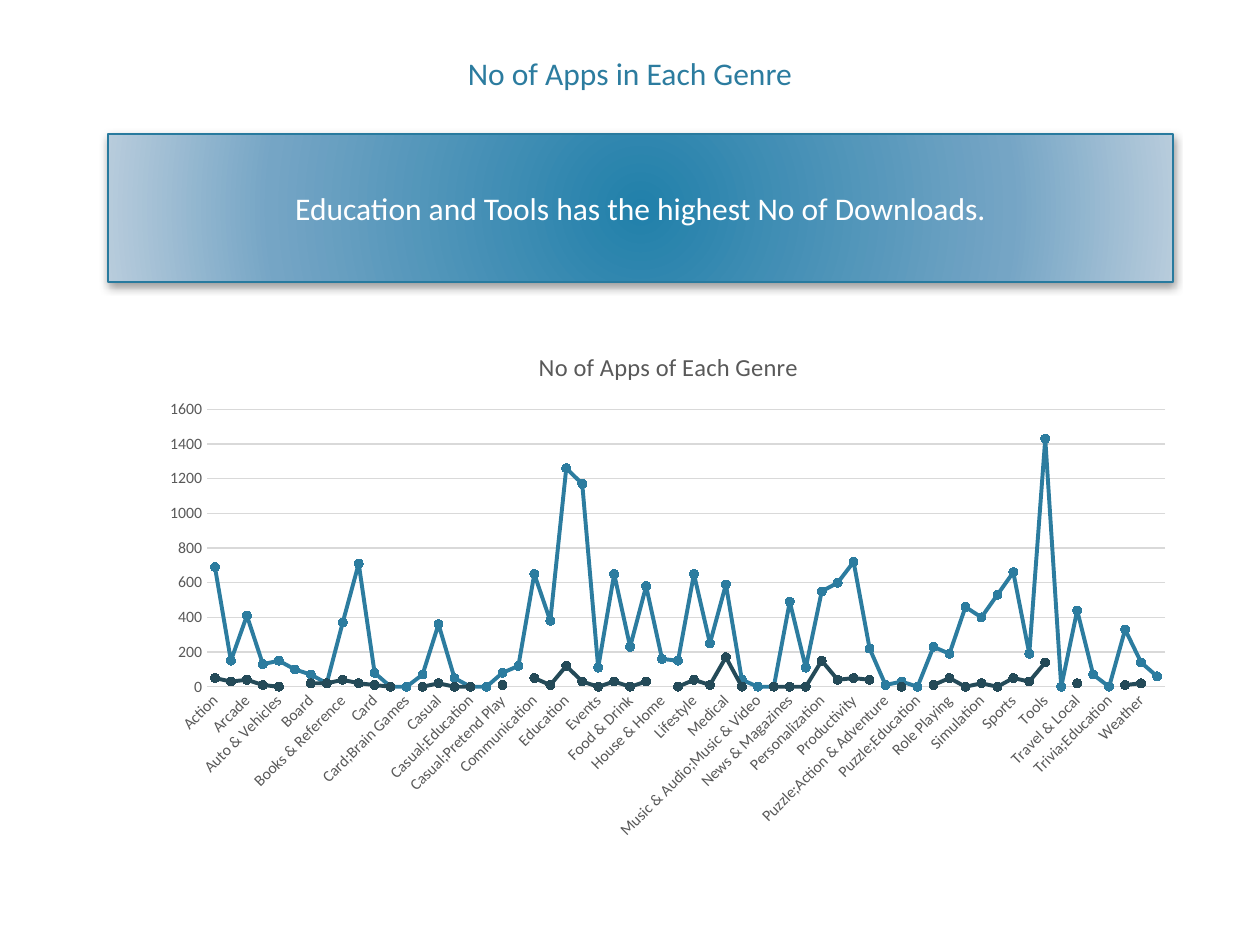
from lxml import etree
from pptx import Presentation
from pptx import util as u
from pptx.chart.data import CategoryChartData
from pptx.dml.color import RGBColor
from pptx.enum import chart as charts, shapes, text
from pptx.oxml import parse_xml
from pptx.oxml.ns import nsdecls, qn

FONT = "Calibri"
TITLE_BLUE = RGBColor(0x2C, 0x7C, 0x9F)
DARK_TEAL = RGBColor(0x24, 0x4A, 0x58)
OUTLINE_BLUE = RGBColor(0x28, 0x7A, 0x9E)
LABEL_GREY = RGBColor(0x59, 0x59, 0x59)
GRID_GREY = RGBColor(0xD9, 0xD9, 0xD9)
WHITE = RGBColor(0xFF, 0xFF, 0xFF)
GRADIENT = [(0, "2180AA"), (69, "75A5C5"), (100, "B8CCDC")]

SLIDE_WIDTH, SLIDE_HEIGHT = u.Inches(10), u.Inches(7.5)

GENRES = [
    "Action", "Adventure", "Arcade", "Art & Design", "Auto & Vehicles", "Beauty",
    "Board", "Board;Brain Games", "Books & Reference", "Business", "Card",
    "Card;Action & Adventure", "Card;Brain Games", "Casino", "Casual",
    "Casual;Action & Adventure", "Casual;Education", "Casual;Music & Video",
    "Casual;Pretend Play", "Comics", "Communication", "Dating", "Education",
    "Entertainment", "Events", "Finance", "Food & Drink", "Health & Fitness",
    "House & Home", "Libraries & Demo", "Lifestyle", "Maps & Navigation", "Medical",
    "Music", "Music & Audio;Music & Video", "Music;Music & Video",
    "News & Magazines", "Parenting", "Personalization", "Photography",
    "Productivity", "Puzzle", "Puzzle;Action & Adventure", "Puzzle;Brain Games",
    "Puzzle;Education", "Racing", "Role Playing", "Shopping", "Simulation", "Social",
    "Sports", "Strategy", "Tools", "Tools;Education", "Travel & Local", "Trivia",
    "Trivia;Education", "Video Players & Editors", "Weather", "Word",
]
SERIES = [
    ("Series 1", TITLE_BLUE, [
        690, 150, 410, 130, 150, 100, 70, 20, 370, 710, 80, 0, 0, 70, 360,
        50, 0, 0, 80, 120, 650, 380, 1260, 1170, 110, 650, 230, 580, 160, 150,
        650, 250, 590, 40, 0, 0, 490, 110, 550, 600, 720, 220, 10, 30, 0,
        230, 190, 460, 400, 530, 660, 190, 1430, 0, 440, 70, 0, 330, 140, 60]),
    ("Series 2", DARK_TEAL, [
        50, 30, 40, 10, 0, None, 20, 20, 40, 20, 10, 0, None, 0, 20,
        0, 0, None, 10, None, 50, 10, 120, 30, 0, 30, 0, 30, None, 0,
        40, 10, 170, 0, None, 0, 0, 0, 150, 40, 50, 40, None, 0, None,
        10, 50, 0, 20, 0, 50, 30, 140, None, 20, None, None, 10, 20, None]),
]


def box(left, top, width, height):
    """Turn shares of the slide's size into a left, top, width, height box."""
    return (int(SLIDE_WIDTH * left), int(SLIDE_HEIGHT * top),
            int(SLIDE_WIDTH * width), int(SLIDE_HEIGHT * height))


def style_font(font, size, color):
    """Set face, size and colour of a font."""
    font.name, font.size, font.bold = FONT, u.Pt(size), False
    font.color.rgb = color


def write_text(shape, content, color, anchor):
    """Write one centred paragraph into a shape."""
    frame = shape.text_frame
    frame.text = content
    frame.word_wrap = True
    frame.auto_size = text.MSO_AUTO_SIZE.NONE
    frame.vertical_anchor = anchor
    paragraph = frame.paragraphs[0]
    paragraph.alignment = text.PP_ALIGN.CENTER
    style_font(paragraph.font, 18, color)


def add_title(slide, content):
    """Place and fill the title placeholder."""
    title = slide.shapes.title
    title.left, title.top, title.width, title.height = box(0.06, 0.05, 0.88, 0.09)
    write_text(title, content, TITLE_BLUE, text.MSO_ANCHOR.TOP)


def add_banner(slide, content):
    """Add the message banner with a radial gradient and a soft shadow."""
    banner = slide.shapes.add_shape(
        shapes.MSO_SHAPE.RECTANGLE, *box(0.086, 0.1415, 0.845, 0.157))
    banner.line.color.rgb = OUTLINE_BLUE
    banner.line.width = u.Pt(1)
    stops = "".join(
        f'<a:gs pos="{position * 1000}"><a:srgbClr val="{color}"/></a:gs>'
        for position, color in GRADIENT)
    properties = banner.element.spPr
    properties.find(qn("a:prstGeom")).addnext(parse_xml(
        f'<a:gradFill {nsdecls("a")} rotWithShape="1"><a:gsLst>{stops}</a:gsLst>'
        '<a:path path="circle"><a:fillToRect l="100000" t="100000" r="100000" '
        'b="100000"/></a:path></a:gradFill>'))
    properties.append(parse_xml(
        f'<a:effectLst {nsdecls("a")}><a:outerShdw blurRad="{u.Pt(5)}" '
        f'dist="{u.Pt(2)}" dir="5400000" rotWithShape="0"><a:srgbClr val="000000">'
        '<a:alpha val="40000"/></a:srgbClr></a:outerShdw></a:effectLst>'))
    write_text(banner, content, WHITE, text.MSO_ANCHOR.MIDDLE)


def set_plot_area(chart, **shares):
    """Fix the inner plot area as shares of the chart's size."""
    plot_area = chart.element.chart.plotArea
    for old_layout in plot_area.findall(qn("c:layout")):
        plot_area.remove(old_layout)
    layout = etree.Element(qn("c:layout"))
    manual = etree.SubElement(layout, qn("c:manualLayout"))
    settings = {"layoutTarget": "inner", "xMode": "edge", "yMode": "edge", **shares}
    for name, value in settings.items():
        etree.SubElement(manual, qn(f"c:{name}")).set("val", str(value))
    plot_area.insert(0, layout)


def style_axes(chart):
    """Style both axes, the grid lines and the slanted genre labels."""
    genre_axis, count_axis = chart.category_axis, chart.value_axis
    for axis in (genre_axis, count_axis):
        axis.major_tick_mark = axis.minor_tick_mark = charts.XL_TICK_MARK.NONE
        style_font(axis.tick_labels.font, 9, LABEL_GREY)
    genre_axis.format.line.color.rgb = GRID_GREY
    genre_axis.format.line.width = u.Pt(0.75)
    genre_axis.tick_labels.font  # ensures the label text properties exist
    genre_axis._element.txPr.bodyPr.set("rot", "-2700000")
    count_axis.format.line.fill.background()
    count_axis.minimum_scale, count_axis.maximum_scale = 0, 1600
    count_axis.major_unit = 200
    grid_line = count_axis.major_gridlines.format.line
    grid_line.color.rgb = GRID_GREY
    grid_line.width = u.Pt(0.75)


def style_series(series, color):
    """Draw a series as a straight line with round markers."""
    series.smooth = False
    series.format.line.color.rgb = color
    series.format.line.width = u.Pt(2.25)
    marker = series.marker
    marker.style, marker.size = charts.XL_MARKER_STYLE.CIRCLE, 5
    marker.format.fill.solid()
    marker.format.fill.fore_color.rgb = color
    marker.format.line.color.rgb = color


def add_genre_chart(slide, title):
    """Add the line chart of counts per genre."""
    data = CategoryChartData()
    data.categories = GENRES
    for name, _, values in SERIES:
        data.add_series(name, values)
    chart = slide.shapes.add_chart(
        charts.XL_CHART_TYPE.LINE_MARKERS, *box(0.119, 0.347, 0.823, 0.553), data).chart
    chart.font.name, chart.font.size = FONT, u.Pt(10)
    chart.has_legend = False
    chart.has_title = True
    chart.chart_title.include_in_layout = False
    chart.chart_title.text_frame.text = title
    style_font(chart.chart_title.text_frame.paragraphs[0].font, 14, LABEL_GREY)
    chart.plots[0].vary_by_categories = False
    style_axes(chart)
    for series, (_, color, _) in zip(chart.plots[0].series, SERIES):
        style_series(series, color)
    set_plot_area(chart, x=0.055, y=0.156, w=0.924, h=0.531)


def main():
    """Build the slide and save it."""
    presentation = Presentation()
    presentation.slide_width, presentation.slide_height = SLIDE_WIDTH, SLIDE_HEIGHT
    slide = presentation.slides.add_slide(presentation.slide_layouts[5])
    add_title(slide, "No of Apps in Each Genre")
    add_genre_chart(slide, "No of Apps of Each Genre")
    add_banner(slide, "Education and Tools has the highest No of Downloads.")
    presentation.save("out.pptx")


main()
